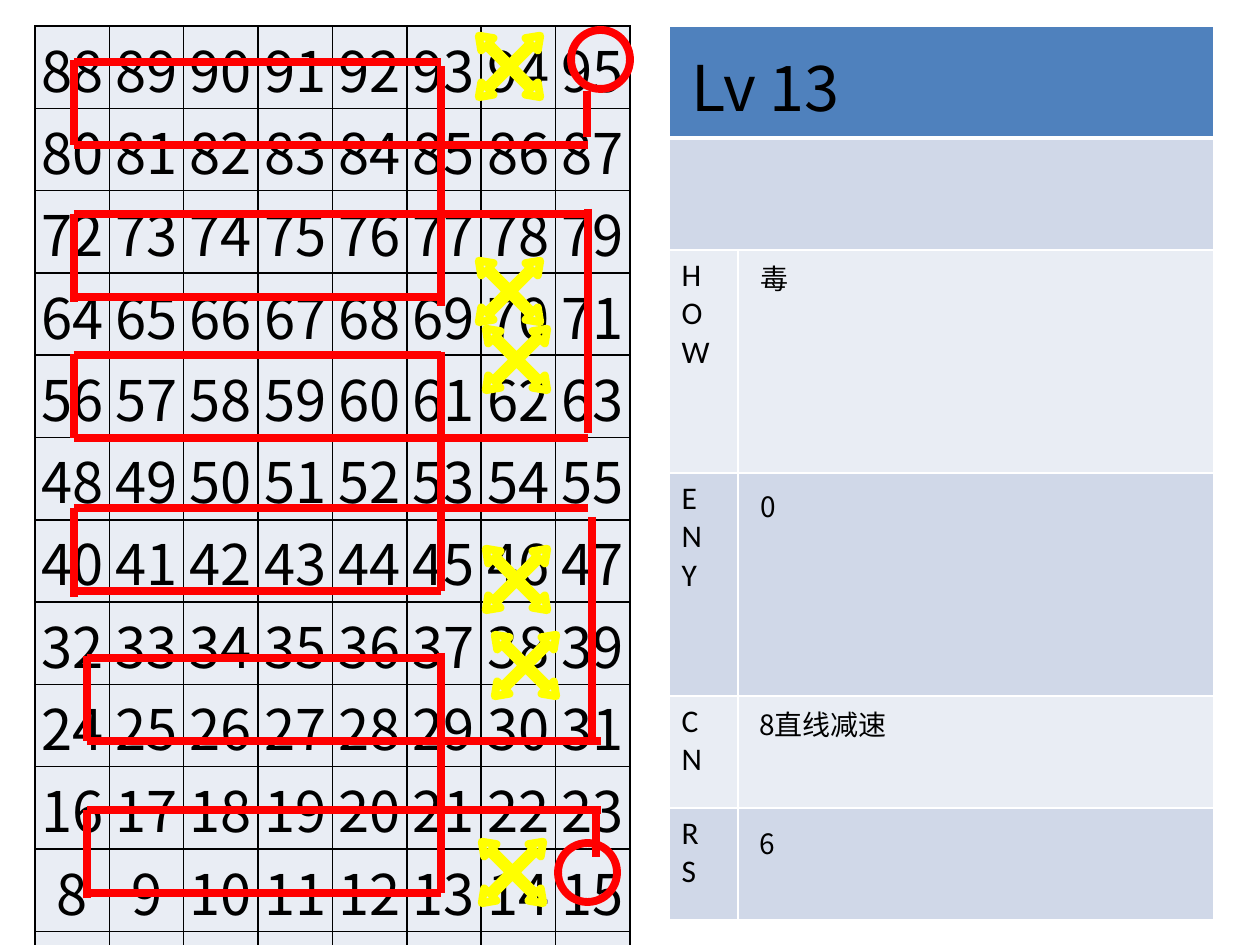
from lxml import etree
from pptx import Presentation
from pptx import util as u
from pptx.dml.color import RGBColor
from pptx.enum import shapes, text
from pptx.oxml import ns

PX = 914400 / 126
COLORS = {"black": "000000", "white": "FFFFFF", "red": "FF0000", "yellow": "FFFF00",
          "blue": "4F81BD", "band": "D0D8E8", "pale": "E9EDF4"}
CJK, LATIN = "Noto Sans CJK SC", "Calibri"

GRID_BOX = (35, 26, 595, 893)
GRID = [[row * 8 + col for col in range(8)] for row in range(11, -1, -1)]

INFO_AT = (669, 26)
INFO_COLS = (69, 476)
INFO_ROWS = [(112, "", "blue"), (112, "", "band"), (223, "HOW", "pale"),
             (223, "ENY", "band"), (112, "CN", "pale"), (112, "RS", "band")]

NOTES = [("Lv 13", 36, (679, 42, 181, 89), False),
         ("毒", 16, (748, 255, 54, 47), False),
         ("0", 16, (748, 483, 42, 47), False),
         ("8直线减速", 16, (747, 701, 155, 47), True),
         ("6", 16, (747, 820, 42, 47), False)]

ROUTE_ACROSS = [(74, 441, (62, 297, 355, 591)), (74, 588, (145, 214, 438, 508)),
                (87, 441, (658, 893)), (87, 601, (741, 810))]
ROUTE_DOWN = [(441, 66, 306), (441, 352, 591), (441, 653, 893),
              (74, 60, 145), (74, 214, 302), (74, 354, 438), (74, 508, 597),
              (87, 656, 741), (87, 810, 898),
              (587, 91, 137), (588, 209, 433), (592, 517, 741), (596, 810, 857)]
CIRCLES, CIRCLE_SIZE = [(571, 30), (558, 843)], 59
CROSSES, CROSS_SIZE = [(466, 23), (466, 248), (473, 316), (473, 536), (482, 622), (469, 829)], 87
CROSS_ADJ = (0.05, 0.1, 0.14)


def px(n):
    return u.Emu(round(n * PX))


def rgb(name):
    return RGBColor.from_string(COLORS[name])


def add_run(p, words, size, font):
    r = p.add_run()
    r.text = words
    r.font.size, r.font.name = u.Pt(size), font
    r.font.color.rgb = rgb("black")
    etree.SubElement(r._r.get_or_add_rPr(), ns.qn("a:ea"), typeface=font)


def style_cell(cell, fill, border, bottom=1):
    tcPr = cell._tc.get_or_add_tcPr()
    for side in "LRTB":
        width = bottom if side == "B" else 1
        ln = etree.SubElement(tcPr, ns.qn("a:ln" + side), w=str(u.Pt(width)))
        solid = etree.SubElement(ln, ns.qn("a:solidFill"))
        etree.SubElement(solid, ns.qn("a:srgbClr"), val=COLORS[border])
    cell.fill.solid()
    cell.fill.fore_color.rgb = rgb(fill)


def add_table(s, box, widths, heights):
    table = s.shapes.add_table(len(heights), len(widths), *map(px, box)).table
    table.first_row = table.horz_banding = False
    for column, width in zip(table.columns, widths):
        column.width = px(width)
    for row, height in zip(table.rows, heights):
        row.height = px(height)
    return table


def add_grid(s):
    width, height = GRID_BOX[2:]
    table = add_table(s, GRID_BOX, [width / 8] * 8, [height / 12] * 12)
    for i, row in enumerate(GRID):
        for j, number in enumerate(row):
            cell = table.cell(i, j)
            style_cell(cell, "pale", "black")
            cell.margin_left = cell.margin_right = cell.margin_top = px(1)
            cell.margin_bottom = 0
            cell.vertical_anchor = text.MSO_ANCHOR.MIDDLE
            p = cell.text_frame.paragraphs[0]
            p.alignment = text.PP_ALIGN.CENTER
            add_run(p, str(number), 32, CJK)


def add_info(s):
    heights = [height for height, _, _ in INFO_ROWS]
    table = add_table(s, (*INFO_AT, sum(INFO_COLS), sum(heights)), INFO_COLS, heights)
    for i, (_, label, fill) in enumerate(INFO_ROWS):
        for j in range(2):
            style_cell(table.cell(i, j), fill, "white", 1 if i else 3)
        if not label:
            table.cell(i, 0).merge(table.cell(i, 1))
        p = table.cell(i, 0).text_frame.paragraphs[0]
        for k, letter in enumerate(label):
            if k:
                p.add_line_break()
                p._p.findall(ns.qn("a:br"))[-1].append(
                    etree.Element(ns.qn("a:rPr"), sz="1800"))
            add_run(p, letter, 18, LATIN)


def add_note(s, words, size, box, wrap):
    tf = s.shapes.add_textbox(*map(px, box)).text_frame
    tf.word_wrap = wrap
    tf.auto_size = text.MSO_AUTO_SIZE.SHAPE_TO_FIT_TEXT
    add_run(tf.paragraphs[0], words, size, CJK)


def add_line(s, x1, y1, x2, y2):
    line = s.shapes.add_connector(shapes.MSO_CONNECTOR.STRAIGHT, *map(px, (x1, y1, x2, y2)))
    line.line.color.rgb = rgb("red")
    line.line.width = u.Pt(4.5)
    etree.SubElement(line._element.spPr, ns.qn("a:effectLst"))


def add_outline(s, kind, at, size, color):
    sp = s.shapes.add_shape(kind, *map(px, (*at, size, size)))
    sp.shadow.inherit = False
    sp.fill.background()
    sp.line.color.rgb = rgb(color)
    sp.line.width = u.Pt(4.5)
    return sp


def main():
    prs = Presentation()
    prs.slide_width, prs.slide_height = px(1260), px(945)
    s = prs.slides.add_slide(prs.slide_layouts[6])
    add_grid(s)
    add_info(s)
    for note in NOTES:
        add_note(s, *note)
    for x1, x2, levels in ROUTE_ACROSS:
        for y in levels:
            add_line(s, x1, y, x2, y)
    for x, y1, y2 in ROUTE_DOWN:
        add_line(s, x, y1, x, y2)
    for at in CIRCLES:
        add_outline(s, shapes.MSO_SHAPE.OVAL, at, CIRCLE_SIZE, "red")
    for at in CROSSES:
        sp = add_outline(s, shapes.MSO_SHAPE.QUAD_ARROW, at, CROSS_SIZE, "yellow")
        sp.rotation = 45
        for i, value in enumerate(CROSS_ADJ):
            sp.adjustments[i] = value
    prs.save("out.pptx")


if __name__ == "__main__":
    main()
